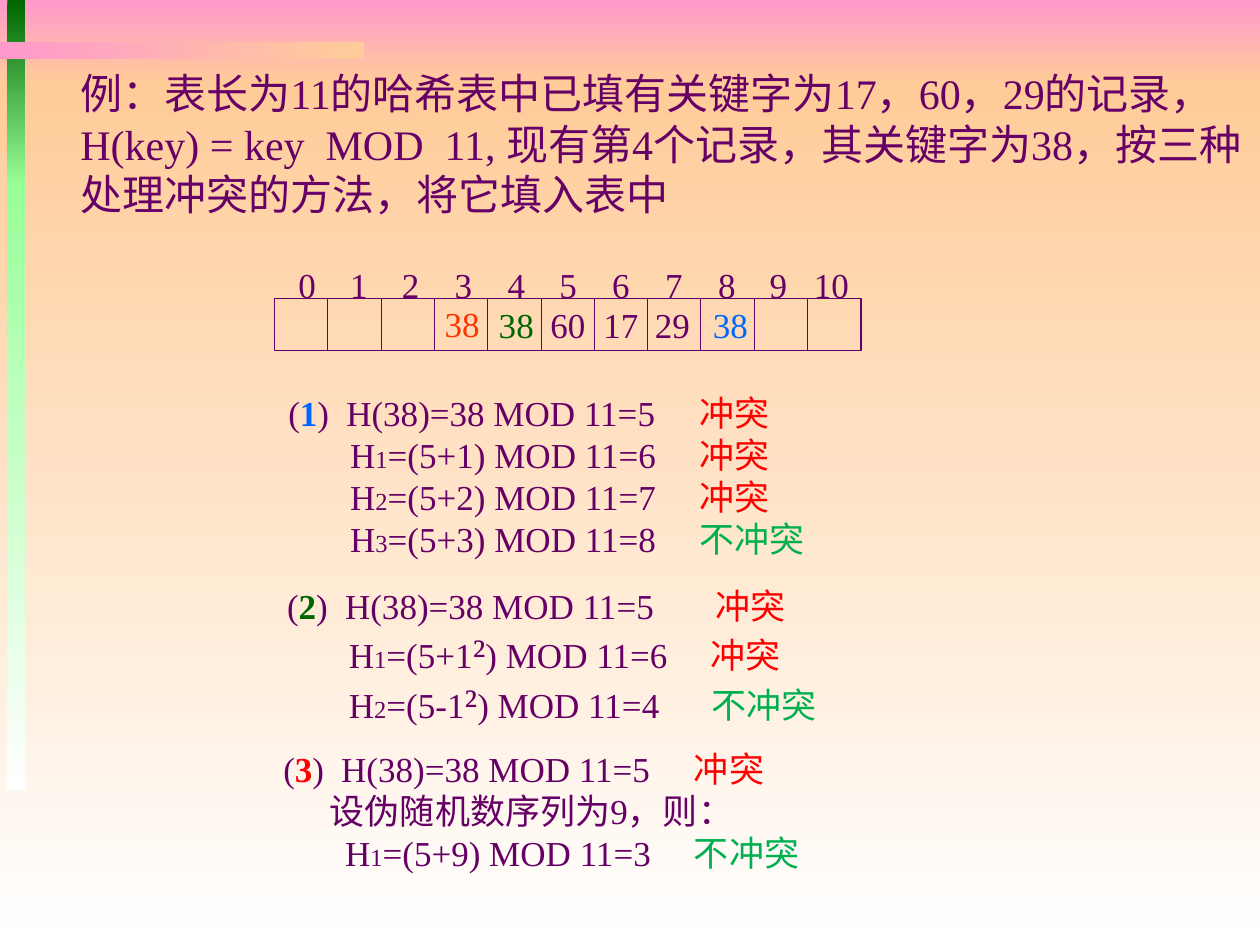
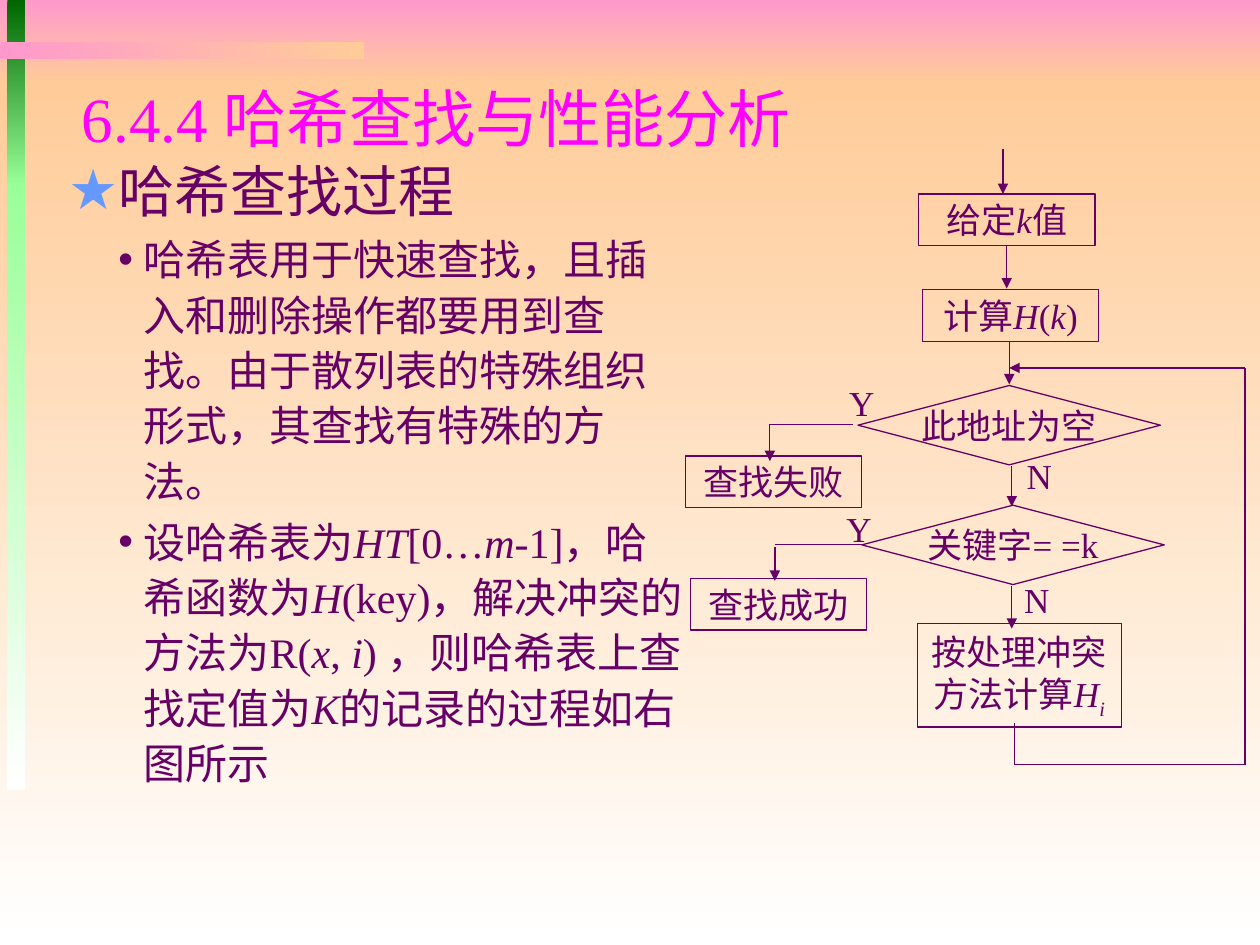
import pptx
import pptx.dml.color
import pptx.enum.dml
import pptx.enum.shapes
import pptx.enum.text
import pptx.oxml.ns
import pptx.util
from lxml import etree

EMU_PER_PX = 9144  # 100 px to the inch
FONT = "Times New Roman"
PLUM, MAGENTA, PINK, PEACH, WHITE = "660066", "FF00FF", "FF99CC", "FFCC99", "FFFFFF"
FOREST, MINT, STAR_BLUE = "006600", "99FF99", "6699FF"
BLUE, ORANGE, RED, GREEN = "0066FF", "FF3300", "FF0000", "00B050"
SHAPES = pptx.enum.shapes.MSO_SHAPE
ALIGN = pptx.enum.text.PP_ALIGN
ANCHOR = pptx.enum.text.MSO_ANCHOR

CLASH = ("冲突", {"color": RED})
NO_CLASH = ("不冲突", {"color": GREEN})
SQUARED = ("²", {"size": 24})


def px(*lengths):
    return [pptx.util.Emu(round(length * EMU_PER_PX)) for length in lengths]


def rgb(code):
    return pptx.dml.color.RGBColor.from_string(code)


def add_xml(parent, tag, **attributes):
    return etree.SubElement(parent, pptx.oxml.ns.qn(tag), attributes)


def italic(text, **extra):
    return text, {"italic": True, **extra}


def add_span(para, text, size=20, color=PLUM, bold=False, italic=False, baseline=0):
    span = para.add_run()
    span.text = text
    font = span.font
    font.name, font.size = FONT, pptx.util.Pt(size)
    font.bold, font.italic = bold, italic
    font.color.rgb = rgb(color)
    if baseline:
        font._element.set("baseline", str(baseline * 1000))


def write_para(para, spans, tabs=(), tab_align="l", align=ALIGN.LEFT, **style):
    """Fill a paragraph from strings and (text, format) pairs."""
    if tabs:
        tab_list = add_xml(para._p.get_or_add_pPr(), "a:tabLst")
        for position in tabs:
            add_xml(tab_list, "a:tab", pos=str(px(position)[0]), algn=tab_align)
    para.alignment = align
    for span in spans:
        text, changes = (span, {}) if isinstance(span, str) else span
        add_span(para, text, **{**style, **changes})


def next_para(frame, index):
    return frame.add_paragraph() if index else frame.paragraphs[0]


def add_text(page, area, text, wrap=False, **style):
    box = page.shapes.add_textbox(*px(*area))
    box.text_frame.word_wrap = wrap
    write_para(box.text_frame.paragraphs[0], [text], **style)


def add_outline(page, kind, area, lines=()):
    shape = page.shapes.add_shape(kind, *px(*area))
    shape.shadow.inherit = False
    shape.fill.background()
    shape.line.color.rgb = rgb(PLUM)
    shape.line.width = pptx.util.Pt(0.75)
    frame = shape.text_frame
    frame.word_wrap = False
    frame.vertical_anchor = ANCHOR.MIDDLE
    for index, spans in enumerate(lines):
        write_para(next_para(frame, index), spans, align=ALIGN.CENTER)


def add_line(page, start, end, arrow=False):
    kind = pptx.enum.shapes.MSO_CONNECTOR.STRAIGHT
    line = page.shapes.add_connector(kind, *px(*start, *end))
    line.line.color.rgb = rgb(PLUM)
    line.line.width = pptx.util.Pt(0.75)
    properties = line._element.spPr
    if arrow:
        add_xml(properties.find(pptx.oxml.ns.qn("a:ln")), "a:tailEnd", type="triangle")
    add_xml(properties, "a:effectLst")


def add_band(page, area, first, last, angle=270):
    """Gradient bar; an angle of 270 runs from top to bottom."""
    band = page.shapes.add_shape(SHAPES.RECTANGLE, *px(*area))
    band.shadow.inherit = False
    band.line.fill.background()
    band.fill.gradient()
    band.fill.gradient_angle = angle
    for stop, color in zip(band.fill.gradient_stops, (first, last)):
        stop.color.rgb = rgb(color)
    return band


def decorate_master(deck, page):
    """Draw the bands on a page, then move them to the bottom of the master."""
    bands = [
        add_band(page, (0, 0, 1000, 67), PINK, PEACH),
        add_band(page, (0, 67, 1000, 683), PEACH, WHITE),
        add_band(page, (6, 0, 14, 148), FOREST, MINT),
        add_band(page, (6, 146, 14, 481), MINT, WHITE),
        add_band(page, (0, 33, 289, 14), PINK, PEACH, angle=0),
    ]
    tree = deck.slide_master.shapes.element
    for index, band in enumerate(bands):
        band.element.nvSpPr.cNvPr.id = 100 + index
        tree.insert(2 + index, band.element)


def add_hash_table(page):
    left, top, step, height, slots = 218, 237, 42.3, 41, 11
    add_text(page, (227, 204, 480, 44), "\t".join(map(str, range(slots))), wrap=True,
             tabs=[round(6 + 41.7 * slot) for slot in range(1, slots)], tab_align="ctr")
    add_outline(page, SHAPES.RECTANGLE, (left, top, step * slots, height))
    for slot in range(1, slots):
        x = round(left + step * slot)
        add_line(page, (x, top), (x, top + height))
    add_text(page, (427, 236, 140, 44), "60\t17\t29", wrap=True, tabs=(42, 83))
    for x, y, color in ((556, 236, BLUE), (386, 236, FOREST), (343, 235, ORANGE)):
        add_text(page, (x, y, 48, 44), "38", color=color)


def probe(number, formula, verdict):
    """Line for the address H with a small index."""
    return ["\tH", (str(number), {"size": 14}), *formula, "\t", verdict]


def add_method(page, area, number, color, verdict_tabs, steps):
    """List the probes of one method, with one verdict tab for each line."""
    box = page.shapes.add_textbox(*px(*area))
    box.text_frame.word_wrap = True
    start = ["(", (number, {"color": color, "bold": True}),
             ")\tH(38)=38 MOD 11=5\t", CLASH]
    for index, (spans, verdict_tab) in enumerate(zip([start, *steps], verdict_tabs)):
        if len(spans) == 1:
            indent = 37
        else:
            indent = 49 if index else 46
        write_para(next_para(box.text_frame, index), spans, tabs=(indent, verdict_tab))


def build_example(page):
    add_text(page, (54, 49, 946, 130),
             "例：表长为11的哈希表中已填有关键字为17，60，29的记录，"
             "H(key) = key  MOD  11, 现有第4个记录，其关键字为38，"
             "按三种处理冲突的方法，将它填入表中", wrap=True, size=24)
    add_hash_table(page)
    add_method(page, (219, 306, 444, 144), "1", BLUE, [326] * 4, [
        probe(shift, [f"=(5+{shift}) MOD 11={5 + shift}"], NO_CLASH if shift == 3 else CLASH)
        for shift in (1, 2, 3)])
    add_method(page, (218, 459, 441, 124), "2", FOREST, [340, 336, 337], [
        probe(1, ["=(5+1", SQUARED, ") MOD 11=6"], CLASH),
        probe(2, ["=(5-1", SQUARED, ") MOD 11=4"], NO_CLASH)])
    add_method(page, (215, 588, 437, 110), "3", RED, [326] * 3, [
        ["\t设伪随机数序列为9，则："],
        probe(1, ["=(5+9) MOD 11=3"], NO_CLASH)])


def place(holder, area, anchor):
    holder.left, holder.top, holder.width, holder.height = px(*area)
    frame = holder.text_frame
    frame.auto_size = pptx.enum.text.MSO_AUTO_SIZE.NONE
    frame.vertical_anchor = anchor
    frame.word_wrap = True
    return frame


def add_bullet(para, mark, color, margin, hanging):
    """Add a bullet and keep punctuation inside the right margin."""
    properties = para._p.get_or_add_pPr()
    properties.set("marL", str(px(margin)[0]))
    properties.set("indent", str(px(-hanging)[0]))
    properties.set("hangingPunct", "0")
    add_xml(add_xml(properties, "a:buClr"), "a:srgbClr", val=color)
    add_xml(properties, "a:buChar", char=mark)


def write_outline(frame, heading, points):
    frame.margin_left = frame.margin_right = 0
    for index, spans in enumerate([heading, *points]):
        para = next_para(frame, index)
        para.level = 1 if index else 0
        if index:
            add_bullet(para, "•", PLUM, 60, 20)
        else:
            add_bullet(para, "★", STAR_BLUE, 39, 39)
        para.space_before = pptx.util.Pt(3 if index else 0)
        para.line_spacing = 1.1 if index else 1.0
        write_para(para, spans, size=24 if index else 32)


def add_flowchart(page):
    step, decision = SHAPES.FLOWCHART_PROCESS, SHAPES.FLOWCHART_DECISION
    for kind, area, lines in (
        (step, (729, 154, 140, 41), [["给定", italic("k"), "值"]]),
        (step, (732, 230, 140, 41), [["计算", italic("H"), "(", italic("k"), ")"]]),
        (decision, (681, 306, 240, 63), [["此地址为空"]]),
        (decision, (684, 401, 240, 63), [["关键字= =k"]]),
        (step, (544, 362, 140, 41), [["查找失败"]]),
        (step, (548, 459, 140, 41), [["查找成功"]]),
        (step, (728, 495, 162, 82),
         [["按处理冲突"], ["方法计算", italic("H"), italic("i", baseline=-25)]]),
    ):
        add_outline(page, kind, area, lines)

    for x, top, bottom in ((796, 118, 154), (799, 195, 229), (801, 271, 305),
                           (803, 370, 402), (803, 465, 499),
                           (611, 337, 366), (615, 434, 461)):
        add_line(page, (x, top), (x, bottom), arrow=True)
    add_line(page, (677, 337), (610, 337))
    add_line(page, (684, 432), (615, 432))

    loop = [(805, 574), (805, 607), (988, 607), (988, 292), (801, 292)]
    for start, end in zip(loop, loop[1:]):
        add_line(page, start, end, arrow=end == loop[-1])

    for letter, x, y in (("Y", 664, 298), ("N", 805, 356), ("Y", 662, 398), ("N", 803, 454)):
        add_text(page, (x, y, 40, 44), letter)


def build_search(page):
    title = place(page.shapes.title, (55, 48, 850, 90), ANCHOR.MIDDLE)
    write_para(title.paragraphs[0], ["6.4.4 哈希查找与性能分析"], size=36, color=MAGENTA)
    body = place(page.placeholders[1], (54, 119, 488, 557), ANCHOR.TOP)
    write_outline(body, ["哈希查找过程"], [
        ["哈希表用于快速查找，且插入和删除操作都要用到查找。"
         "由于散列表的特殊组织形式，其查找有特殊的方法。"],
        ["设哈希表为", italic("HT"), "[0…", italic("m"), "-1]，哈希函数为", italic("H"),
         "(key)，解决冲突的方法为R(", italic("x"), ", ", italic("i"),
         ") ，则哈希表上查找定值为", italic("K"), "的记录的过程如右图所示"],
    ])
    add_flowchart(page)


def main():
    deck = pptx.Presentation()
    deck.slide_width, deck.slide_height = px(1000, 750)
    example = deck.slides.add_slide(deck.slide_layouts[6])
    decorate_master(deck, example)
    build_example(example)
    build_search(deck.slides.add_slide(deck.slide_layouts[1]))
    deck.save("out.pptx")


if __name__ == "__main__":
    main()
